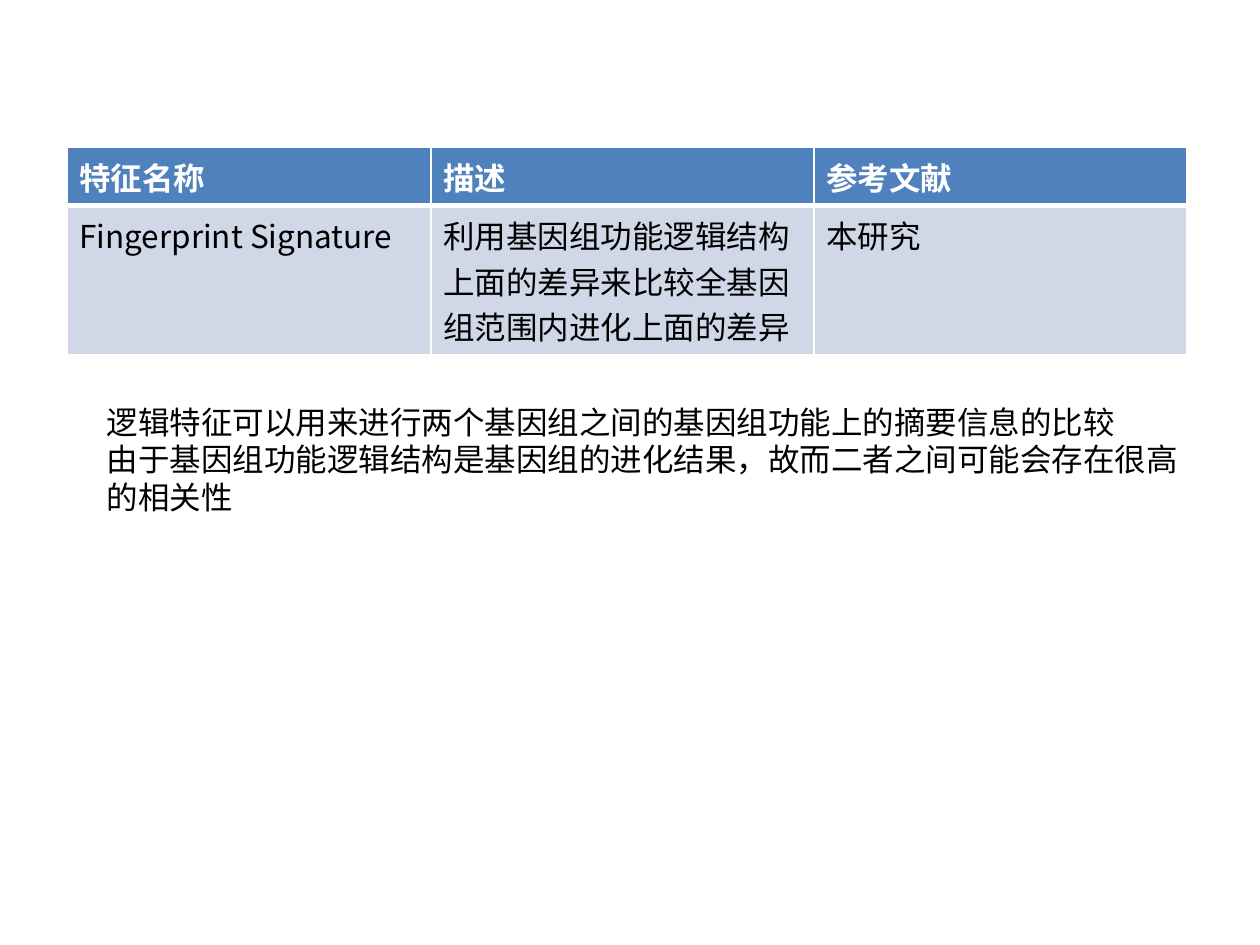
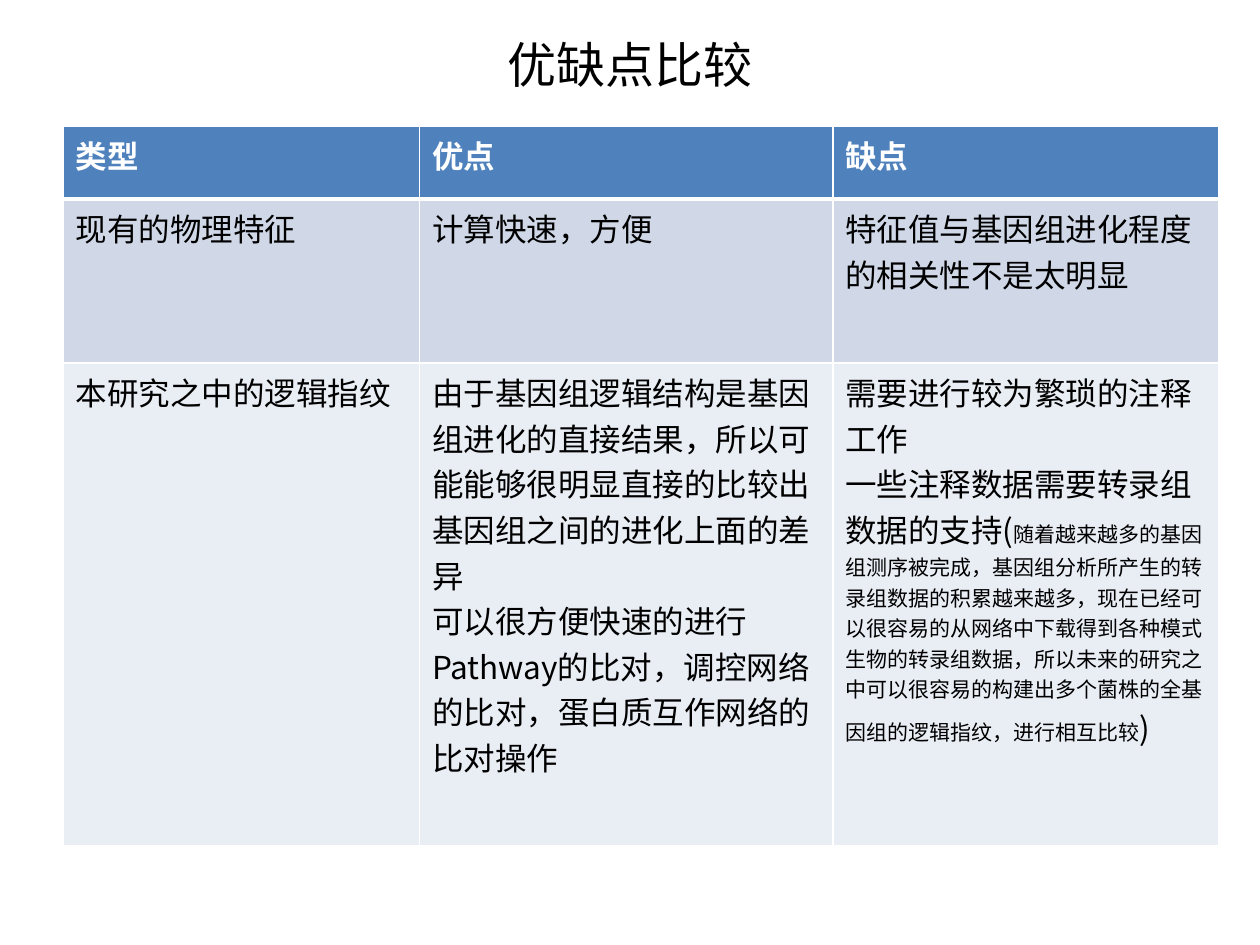
from lxml.etree import SubElement
from pptx import Presentation
from pptx.dml.color import RGBColor
from pptx.enum.text import MSO_ANCHOR as Anchor, PP_ALIGN as Align
from pptx.oxml.ns import qn
from pptx.util import Inches, Pt

WHITE = RGBColor(0xFF, 0xFF, 0xFF)
BLACK = RGBColor(0, 0, 0)
HEADER_BLUE = RGBColor(0x4F, 0x81, 0xBD)
BAND_FILLS = (RGBColor(0xD0, 0xD8, 0xE8), RGBColor(0xE9, 0xED, 0xF4))

CJK_FONT, LATIN_FONT = "Noto Sans CJK SC", "Calibri"
BODY = {"name": CJK_FONT, "size": Pt(18), "bold": False}
HEADER = {**BODY, "bold": True}
SMALL = {**BODY, "name": LATIN_FONT, "size": Pt(12)}
TITLE = {**BODY, "size": Pt(28)}

# A cell is a list of paragraphs; a paragraph is a string or a list of (text, format).
SIGNATURE_TABLE = {
    "at": (0.53, 1.17), "columns": (2.89, 3.04, 2.96), "rows": (0.46, 1.17),
    "cells": [
        [["特征名称"], ["描述"], ["参考文献"]],
        [["Fingerprint Signature"],
         ["利用基因组功能逻辑结构上面的差异来比较全基因组范围内进化上面的差异"],
         ["本研究"]],
    ],
}
SIGNATURE_NOTES = [
    "逻辑特征可以用来进行两个基因组之间的基因组功能上的摘要信息的比较",
    "由于基因组功能逻辑结构是基因组的进化结果，故而二者之间可能会存在很高",
    "的相关性",
]
COMPARISON_TITLE = ["优缺点比较"]
COMPARISON_TABLE = {
    "at": (0.5, 1), "columns": (2.83, 3.28, 3.06), "rows": (0.58, 1.3, 3.83),
    "cells": [
        [["类型"], ["优点"], ["缺点"]],
        [["现有的物理特征"], ["计算快速，方便"],
         ["特征值与基因组进化程度的相关性不是太明显"]],
        [["本研究之中的逻辑指纹"],
         ["由于基因组逻辑结构是基因组进化的直接结果，所以可能能够很明显直接的"
          "比较出基因组之间的进化上面的差异",
          "可以很方便快速的进行Pathway的比对，调控网络的比对，"
          "蛋白质互作网络的比对操作"],
         ["需要进行较为繁琐的注释工作",
          [("一些注释数据需要转录组数据的支持(", BODY),
           ("随着越来越多的基因组测序被完成，基因组分析所产生的转录组数据的积累"
            "越来越多，现在已经可以很容易的从网络中下载得到各种模式生物的转录组"
            "数据，所以未来的研究之中可以很容易的构建出多个菌株的全基因组的逻辑"
            "指纹，进行相互比较", SMALL),
           (")", BODY)]]],
    ],
}


def write(frame, paragraphs, style, color, **layout):
    """Fill a text frame, giving every paragraph the same layout values."""
    for number, content in enumerate(paragraphs):
        paragraph = frame.add_paragraph() if number else frame.paragraphs[0]
        for key, value in layout.items():
            setattr(paragraph, key, value)
        parts = [(content, style)] if isinstance(content, str) else content
        for text, values in parts:
            run = paragraph.add_run()
            run.text = text
            for key, value in values.items():
                setattr(run.font, key, value)
            run.font.color.rgb = color
            SubElement(run.font._element, qn("a:ea"), typeface=CJK_FONT)


def add_borders(cell, widths):
    """Draw white cell borders; widths maps a side's tag to points."""
    properties = cell._tc.get_or_add_tcPr()
    for position, (side, width) in enumerate(widths.items()):
        line = properties.makeelement(qn(f"a:{side}"), {"w": str(Pt(width))})
        fill = SubElement(line, qn("a:solidFill"))
        SubElement(fill, qn("a:srgbClr"), val=str(WHITE))
        properties.insert(position, line)


def add_banded_table(slide, content):
    """Add a table with a blue header row and alternating body bands."""
    columns, rows = content["columns"], content["rows"]
    box = map(Inches, (*content["at"], sum(columns), sum(rows)))
    table = slide.shapes.add_table(len(rows), len(columns), *box).table
    for column, width in zip(table.columns, columns):
        column.width = Inches(width)
    for index, (row, height) in enumerate(zip(table.rows, rows)):
        row.height = Inches(height)
        is_header = index == 0
        for cell, paragraphs in zip(row.cells, content["cells"][index]):
            cell.fill.solid()
            cell.fill.fore_color.rgb = (
                HEADER_BLUE if is_header else BAND_FILLS[(index - 1) % 2])
            add_borders(cell, {"lnL": 1, "lnR": 1,
                               "lnT": 3 if index == 1 else 1,
                               "lnB": 3 if is_header else 1})
            write(cell.text_frame, paragraphs, HEADER if is_header else BODY,
                  WHITE if is_header else BLACK)


def add_text(slide, box, paragraphs, style, frame_values, **layout):
    """Add a text box whose frame takes the given values."""
    frame = slide.shapes.add_textbox(*map(Inches, box)).text_frame
    for key, value in frame_values.items():
        setattr(frame, key, value)
    write(frame, paragraphs, style, BLACK, **layout)


deck = Presentation()
deck.slide_width, deck.slide_height = Inches(10), Inches(7.5)
blank = deck.slide_layouts[6]

signature = deck.slides.add_slide(blank)
add_banded_table(signature, SIGNATURE_TABLE)
add_text(signature, (0.75, 3.12, 8.78, 1.01), SIGNATURE_NOTES, BODY,
         {"word_wrap": False, "margin_top": Inches(0.08)},
         line_spacing=Pt(21.4))

comparison = deck.slides.add_slide(blank)
add_text(comparison, (0.5, 0.17, 9, 0.67), COMPARISON_TITLE, TITLE,
         {"word_wrap": True, "vertical_anchor": Anchor.MIDDLE},
         alignment=Align.CENTER)
add_banded_table(comparison, COMPARISON_TABLE)

deck.save("out.pptx")
